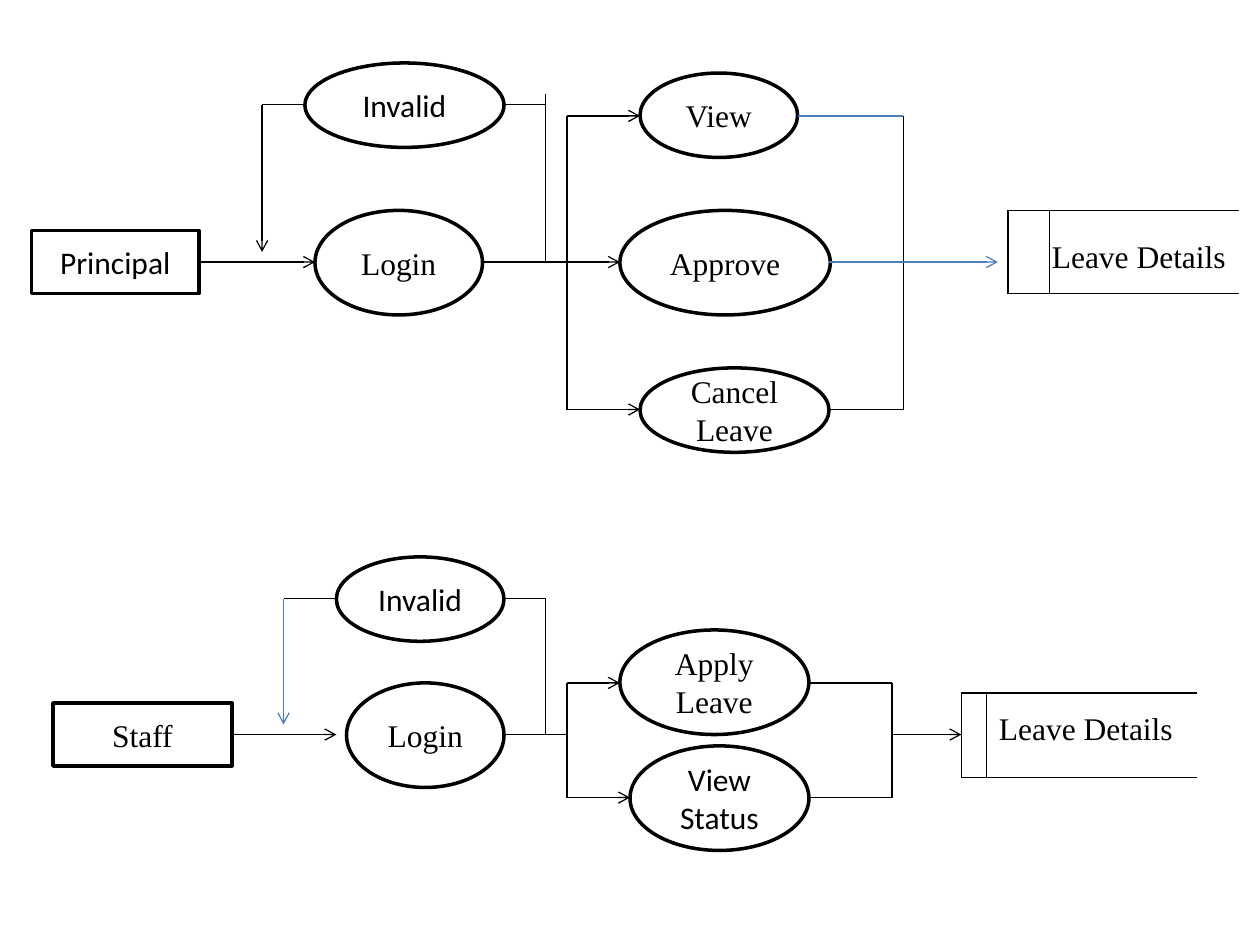
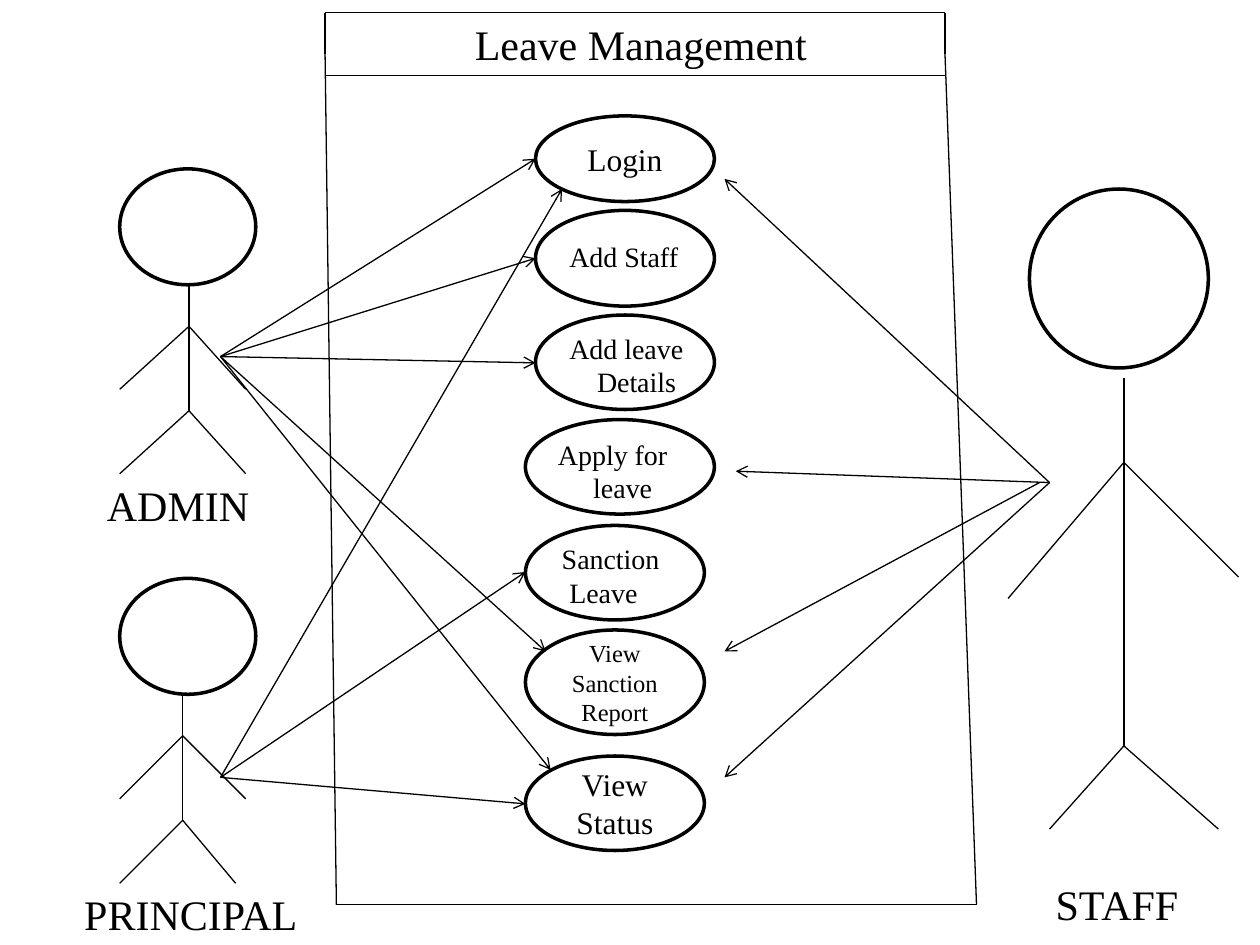
from itertools import pairwise

from lxml import etree
from pptx import Presentation
from pptx.dml.color import RGBColor
from pptx.enum.shapes import MSO_CONNECTOR, MSO_SHAPE
from pptx.enum.text import MSO_ANCHOR, PP_ALIGN
from pptx.oxml.ns import qn
from pptx.util import Inches, Pt

ELLIPSE, RECT = MSO_SHAPE.OVAL, MSO_SHAPE.RECTANGLE
STRAIGHT = MSO_CONNECTOR.STRAIGHT
LEFT, CENTER = PP_ALIGN.LEFT, PP_ALIGN.CENTER
TOP, MIDDLE = MSO_ANCHOR.TOP, MSO_ANCHOR.MIDDLE

BLACK, WHITE, BLUE = "000000", "FFFFFF", "4B7EBC"
SERIF, SANS = "Times New Roman", "Calibri"
NODE_LINE, FLOW_LINE = 2, 0.75


def rgb(color):
    return RGBColor.from_string(color)


def box(at):
    return [Inches(v) for v in at]


def write(sp, text, align, anchor, size, font, indents=()):
    """Fill a shape with one paragraph per line, indented in inches."""
    tf = sp.text_frame
    for name, value in {"word_wrap": True, "vertical_anchor": anchor}.items():
        setattr(tf, name, value)
    for i, line in enumerate(text.split("\n")):
        p = tf.paragraphs[0] if i == 0 else tf.add_paragraph()
        p.alignment = align
        if i < len(indents):
            p._p.get_or_add_pPr().set("marL", str(Inches(indents[i])))
        r = p.add_run()
        r.text = line
        for name, value in {"size": Pt(size), "name": font}.items():
            setattr(r.font, name, value)
        r.font.color.rgb = rgb(BLACK)


def add_node(s, at, text="", shape=ELLIPSE, size=18, font=SERIF):
    sp = s.shapes.add_shape(shape, *box(at))
    sp.shadow.inherit = False
    sp.fill.solid()
    sp.fill.fore_color.rgb = rgb(WHITE)
    sp.line.color.rgb = rgb(BLACK)
    sp.line.width = Pt(NODE_LINE)
    if text:
        write(sp, text, CENTER, MIDDLE, size, font)


def add_label(s, at, text, size=18, indents=()):
    write(s.shapes.add_textbox(*box(at)), text, LEFT, TOP, size, SERIF, indents)


def add_route(s, *points, arrow=False, color=BLACK):
    """Join the points with straight lines; the arrowhead is on the last."""
    for start, end in pairwise(points):
        c = s.shapes.add_connector(STRAIGHT, *box(start + end))
        c.line.color.rgb = rgb(color)
        c.line.width = Pt(FLOW_LINE)
        etree.SubElement(c._element.spPr, qn("a:effectLst"))
    if arrow:
        etree.SubElement(c.line._get_or_add_ln(), qn("a:tailEnd"), type="arrow")


def add_fan(s, start, ends):
    for end in ends:
        add_route(s, start, end, arrow=True)


def add_data_store(s, left, right, top, bottom, divider):
    add_route(s, (right, top), (left, top), (left, bottom), (right, bottom))
    add_route(s, (divider, top), (divider, bottom))


def add_actor(s, head, x, neck, shoulder, hip, hands, feet):
    add_node(s, head)
    add_route(s, (x, neck), (x, hip))
    add_route(s, hands[0], (x, shoulder), hands[1])
    add_route(s, feet[0], (x, hip), feet[1])


def draw_principal_flow(s):
    mid, top, bottom = 2.08, 0.92, 3.25
    add_node(s, (0.25, 1.83, 1.33, 0.5), "Principal", RECT, font=SANS)
    add_node(s, (2.42, 0.5, 1.58, 0.67), "Invalid", font=SANS)
    for at, text in [
        ((2.5, 1.67, 1.33, 0.83), "Login"),
        ((5.08, 0.58, 1.25, 0.67), "View"),
        ((4.92, 1.67, 1.67, 0.83), "Approve"),
        ((5.08, 2.92, 1.5, 0.67), "Cancel\nLeave"),
    ]:
        add_node(s, at, text)

    add_route(s, (1.58, mid), (2.5, mid), arrow=True)
    add_route(s, (3.83, mid), (4.92, mid), arrow=True)
    add_route(s, (4.33, mid), (4.33, 0.75))
    add_route(s, (4.33, 0.83), (4, 0.83))
    add_route(s, (2.42, 0.83), (2.08, 0.83), (2.08, 2), arrow=True)
    add_route(s, (4.5, top), (4.5, bottom))
    add_fan(s, (4.5, top), [(5.08, top)])
    add_fan(s, (4.5, bottom), [(5.08, bottom)])
    add_route(s, (6.58, bottom), (7.17, bottom), (7.17, top))
    add_route(s, (6.33, top), (7.17, top), color=BLUE)
    add_route(s, (6.58, mid), (7.92, mid), arrow=True, color=BLUE)
    add_data_store(s, 8, 9.83, 1.67, 2.33, divider=8.33)
    add_label(s, (8.25, 1.83, 1.75, 0.4), "Leave Details")


def draw_staff_flow(s):
    mid, top, bottom = 5.83, 5.42, 6.33
    add_node(s, (0.42, 5.58, 1.42, 0.5), "Staff", RECT)
    add_node(s, (2.67, 4.42, 1.33, 0.67), "Invalid", font=SANS)
    add_node(s, (2.75, 5.42, 1.25, 0.83), "Login")
    add_node(s, (4.92, 5, 1.5, 0.83), "Apply\nLeave")
    add_node(s, (5, 5.92, 1.42, 0.83), "View\nStatus", font=SANS)

    add_route(s, (1.83, mid), (2.67, mid), arrow=True)
    add_route(s, (4, mid), (4.5, mid))
    add_route(s, (4.33, mid), (4.33, 4.75), (4, 4.75))
    add_route(s, (2.67, 4.75), (2.25, 4.75))
    add_route(s, (2.25, 4.75), (2.25, 5.75), arrow=True, color=BLUE)
    add_route(s, (4.5, bottom), (4.5, top), (4.92, top), arrow=True)
    add_route(s, (4.5, bottom), (5, bottom), arrow=True)
    add_route(s, (6.42, top), (7.08, top), (7.08, bottom), (6.42, bottom))
    add_route(s, (7.08, mid), (7.63, mid), arrow=True)
    add_data_store(s, 7.63, 9.5, 5.5, 6.17, divider=7.83)
    add_label(s, (7.83, 5.58, 1.83, 0.4), "Leave Details")


def draw_system_frame(s):
    add_route(s, (2.67, 7.18), (2.58, 0.43), (2.58, 0.1), (7.5, 0.1),
              (7.5, 0.43), (7.75, 7.18), (2.67, 7.18))
    add_route(s, (2.58, 0.6), (7.5, 0.6))
    add_label(s, (3.67, 0.1, 3.33, 0.5), "Leave Management", 24)


def draw_use_cases(s):
    for at, text, size in [
        ((4.25, 0.92, 1.42, 0.68), "Login", 18),
        ((4.25, 1.67, 1.42, 0.76), "", 16),
        ((4.25, 2.5, 1.42, 0.75), "", 16),
        ((4.17, 3.33, 1.5, 0.75), "", 16),
        ((4.17, 4.17, 1.42, 0.75), "", 16),
        ((4.17, 5, 1.42, 0.83), "View Sanction\nReport", 14),
        ((4.17, 6, 1.42, 0.75), "View\nStatus", 18),
    ]:
        add_node(s, at, text, size=size)
    for at, text, indents in [
        ((4.42, 1.85, 1.14, 0.37), "Add Staff", ()),
        ((4.42, 2.58, 2.33, 0.64), "Add leave\nDetails", (0, 0.22)),
        ((4.33, 3.42, 1.51, 0.64), "Apply for\nleave", (0, 0.28)),
        ((4.25, 4.25, 1.42, 0.91), "Sanction\nLeave", (0.11, 0.17)),
    ]:
        add_label(s, at, text, 16, indents)


def draw_actors(s):
    add_actor(s, (0.95, 1.34, 1.08, 0.92), 1.5, 2.26, 2.59, 3.26,
              hands=[(0.95, 3.09), (1.95, 3.09)],
              feet=[(0.95, 3.76), (1.95, 3.76)])
    add_actor(s, (0.95, 4.59, 1.08, 0.92), 1.45, 5.51, 5.84, 6.51,
              hands=[(0.95, 6.34), (1.95, 6.34)],
              feet=[(0.95, 7.01), (1.87, 7.01)])
    add_actor(s, (8.17, 1.5, 1.42, 1.42), 8.92, 3, 3.67, 5.92,
              hands=[(8, 4.75), (9.83, 4.58)],
              feet=[(8.33, 6.58), (9.67, 6.58)])
    for at, name, indent in [
        ((0.75, 3.76, 1.58, 0.5), "ADMIN", 0),
        ((0.25, 7, 2.42, 0.5), "PRINCIPAL", 0.32),
        ((7.92, 6.92, 1.75, 0.5), "STAFF", 0.36),
    ]:
        add_label(s, at, name, 24, [indent])


def draw_links(s):
    add_fan(s, (1.75, 2.83), [(4.25, 1.26), (4.25, 2.05), (4.25, 2.88),
                              (4.33, 5.17), (4.37, 6.11)])
    add_fan(s, (1.75, 6.17), [(4.46, 1.5), (4.17, 4.54), (4.17, 6.38)])
    add_fan(s, (8.33, 3.83), [(5.75, 1.42), (5.84, 3.74), (5.75, 6.17)])
    add_fan(s, (8.25, 3.83), [(5.75, 5.17)])


def main():
    prs = Presentation()
    prs.slide_width, prs.slide_height = Inches(10), Inches(7.5)
    for parts in [
        (draw_principal_flow, draw_staff_flow),
        (draw_system_frame, draw_use_cases, draw_actors, draw_links),
    ]:
        s = prs.slides.add_slide(prs.slide_layouts[6])
        for draw in parts:
            draw(s)
    prs.save("out.pptx")


if __name__ == "__main__":
    main()
